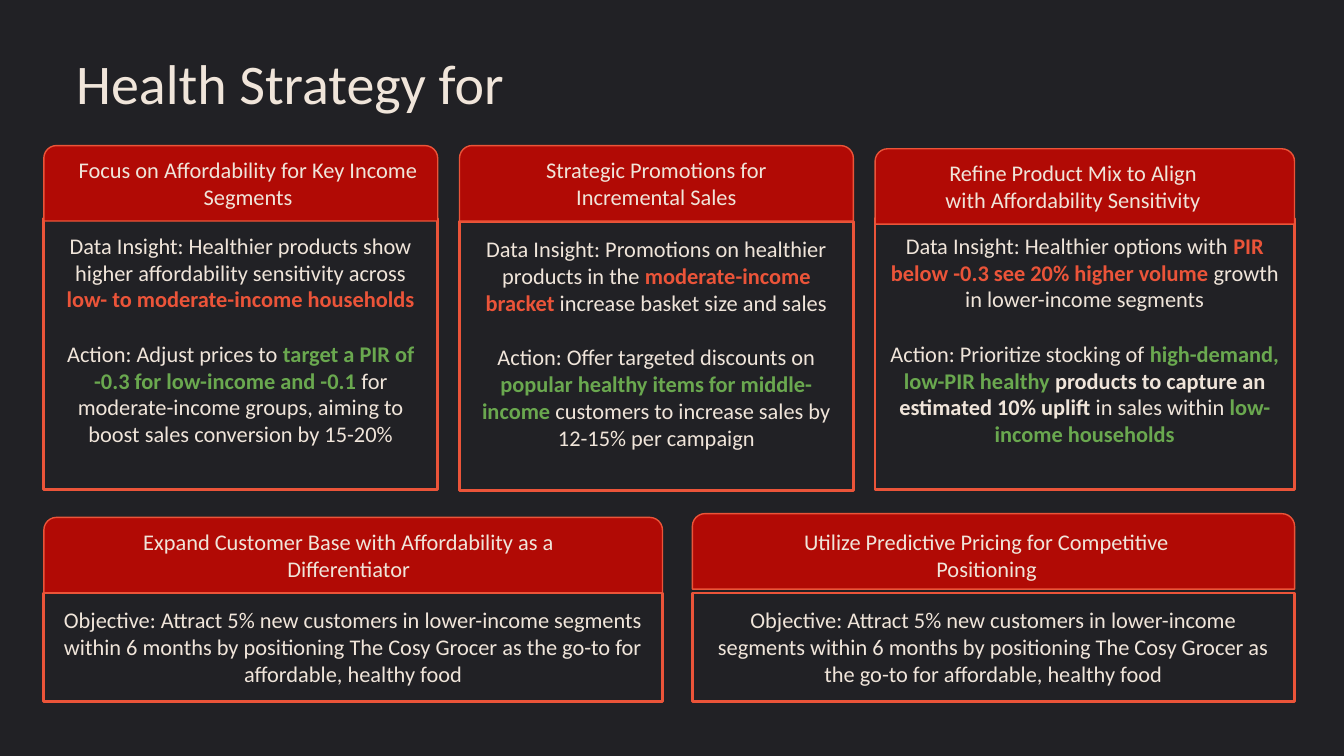
import pptx
import pptx.util
import pptx.dml.color
import pptx.enum.shapes
import pptx.enum.text

Pt = pptx.util.Pt
SHAPE = pptx.enum.shapes.MSO_SHAPE
ALIGN = pptx.enum.text.PP_ALIGN
CREAM, ORANGE, GREEN, RED, DARK = "F0E5DA", "EB5439", "6AA84F", "B10A05", "212125"


def color(value):
    return pptx.dml.color.RGBColor.from_string(value)


def write(sp, paragraphs, size=12, align=ALIGN.CENTER):
    tf = sp.text_frame
    tf.word_wrap = True
    tf.vertical_anchor = pptx.enum.text.MSO_ANCHOR.TOP
    tf.margin_left = tf.margin_right = tf.margin_top = tf.margin_bottom = Pt(7.2)
    for i, runs in enumerate(paragraphs):
        p = tf.add_paragraph() if i else tf.paragraphs[0]
        p.alignment = align
        if i:
            p.space_before = Pt(14.6)
        for text, hue, bold in runs:
            r = p.add_run()
            r.text = text
            r.font.name = "Calibri"
            r.font.size = Pt(size)
            r.font.bold = bold
            r.font.color.rgb = color(hue)


prs = pptx.Presentation()
prs.slide_width, prs.slide_height = Pt(720), Pt(405)
s = prs.slides.add_slide(prs.slide_layouts[6])
s.background.fill.solid()
s.background.fill.fore_color.rgb = color(DARK)

title = s.shapes.add_textbox(Pt(33.8), Pt(18.7), Pt(607), Pt(45.4))
write(title, [[("Health Strategy for", CREAM, False)]], 30, ALIGN.LEFT)

objective = [[("Objective: Attract 5% new customers in lower-income segments within 6 months by "
               "positioning The Cosy Grocer as the go-to for affordable, healthy food", CREAM, False)]]

# left, width, header top, body top, body height, label left, label top, label width, heading, body
cards = [
    (23.5, 211, 78, 117, 145.1, 27.4, 76.3, 211,
     "Focus on Affordability for Key Income Segments",
     [[("Data Insight: Healthier products show higher affordability sensitivity across ", CREAM, False),
       ("low- to moderate-income households", ORANGE, True)],
      [("Action: Adjust prices to ", CREAM, False),
       ("target a PIR of -0.3 for low-income and -0.1 ", GREEN, True),
       ("for moderate-income groups, aiming to boost sales conversion by 15-20%", CREAM, False)]]),
    (246.2, 211, 78, 118.8, 144, 280, 76.3, 143.3,
     "Strategic Promotions for Incremental Sales",
     [[("Data Insight: Promotions on healthier products in the ", CREAM, False),
       ("moderate-income bracket", ORANGE, True),
       (" increase basket size and sales", CREAM, False)],
      [("Action: Offer targeted discounts on ", CREAM, False),
       ("popular healthy items for middle-income", GREEN, True),
       (" customers to increase sales by 12-15% per campaign", CREAM, False)]]),
    (468.8, 224.7, 79.7, 117, 145.1, 491, 77.9, 167.8,
     "Refine Product Mix to Align with Affordability Sensitivity",
     [[("Data Insight: Healthier options with ", CREAM, False),
       ("PIR below -0.3 see 20% higher volume ", ORANGE, True),
       ("growth in lower-income segments", CREAM, False)],
      [("Action: Prioritize stocking of ", CREAM, False),
       ("high-demand, low-PIR healthy", GREEN, True),
       (" products to capture an estimated 10% uplift", CREAM, True),
       (" in sales within ", CREAM, False),
       ("low-income households", GREEN, True)]]),
    (23.5, 331.4, 277.2, 317.7, 58.2, 40.3, 275.8, 293,
     "Expand Customer Base with Affordability as a Differentiator", objective),
    (370.9, 322.6, 275.2, 317.7, 58.2, 416.2, 275.8, 224.6,
     "Utilize Predictive Pricing for Competitive Positioning", objective),
]

for (left, width, header_top, body_top, body_height,
     label_left, label_top, label_width, heading, paragraphs) in cards:
    body = s.shapes.add_shape(SHAPE.RECTANGLE, Pt(left), Pt(body_top), Pt(width), Pt(body_height))
    body.fill.background()
    body.line.width = Pt(1.5)
    write(body, paragraphs)

    header = s.shapes.add_shape(SHAPE.ROUND_2_SAME_RECTANGLE, Pt(left), Pt(header_top), Pt(width), Pt(40.4))
    header.fill.solid()
    header.fill.fore_color.rgb = color(RED)
    header.line.width = Pt(0.75)

    for sp in (body, header):
        sp.shadow.inherit = False
        sp.line.color.rgb = color(ORANGE)

    label = s.shapes.add_textbox(Pt(label_left), Pt(label_top), Pt(label_width), Pt(43.9))
    write(label, [[(heading, CREAM, False)]])

prs.save("out.pptx")
